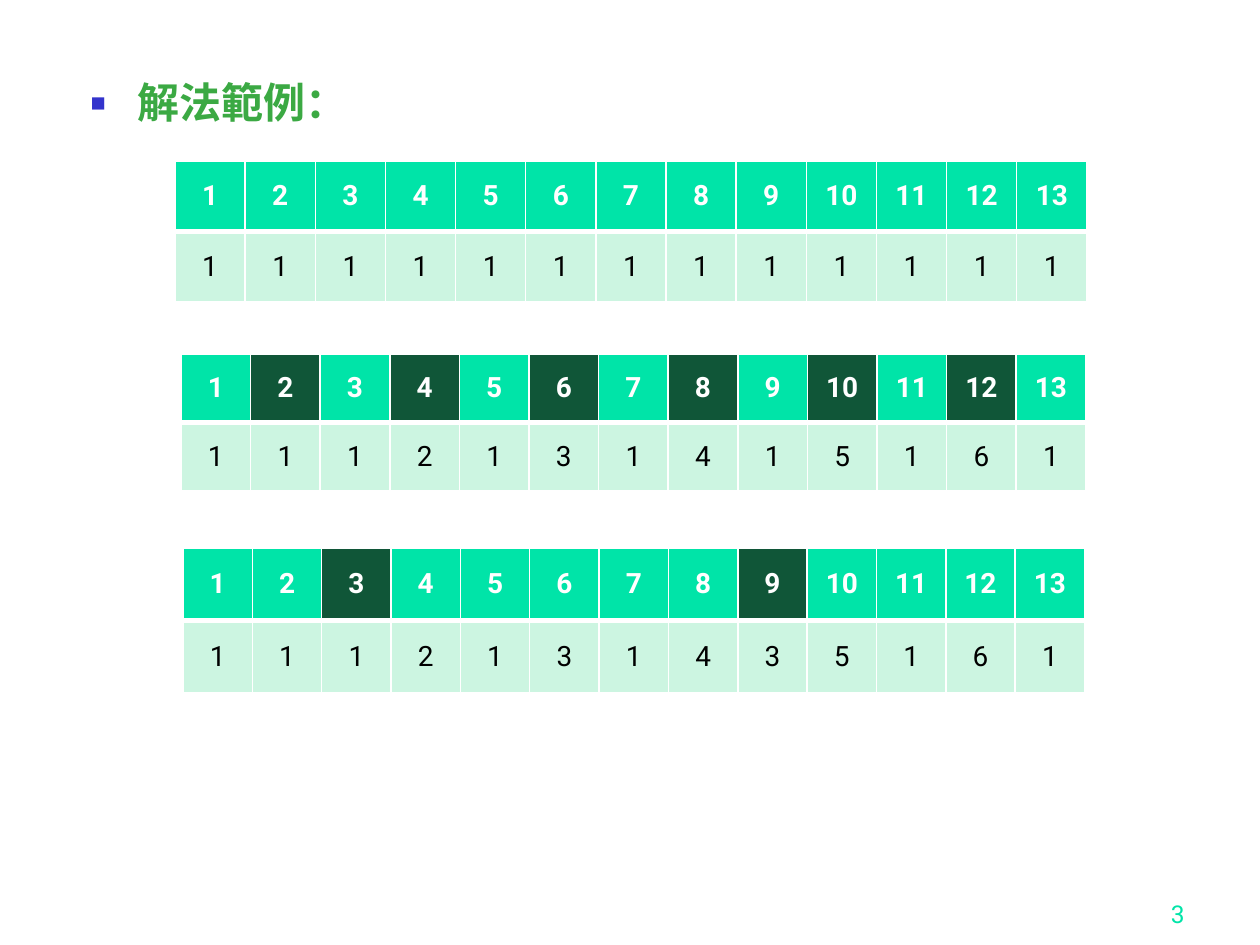
from lxml import etree
from pptx import Presentation, util as u
from pptx.dml.color import RGBColor
from pptx.enum import text
from pptx.oxml.ns import qn

PX = u.Inches(1) / 126
COLORS = {"mint": "00E4A8", "pale": "CCF5E1", "dark": "105638", "white": "FFFFFF",
          "black": "000000", "green": "3BA943", "bullet": "3333CC"}
HEADER = {"name": "Roboto", "size": u.Pt(16), "bold": True}
VALUE = {**HEADER, "bold": False}
HEADING = {"name": "Times New Roman", "size": u.Pt(24), "bold": True}
NUMBER = {"name": "Roboto", "size": u.Pt(14)}
NUMBERS = range(1, 14)
STEPS = [
    ((175, 161, 912, 141), [1] * 13, set()),
    ((181, 354, 905, 137), [1, 1, 1, 2, 1, 3, 1, 4, 1, 5, 1, 6, 1], set(range(2, 13, 2))),
    ((183, 548, 902, 145), [1, 1, 1, 2, 1, 3, 1, 4, 3, 5, 1, 6, 1], {3, 9}),
]


def emu(box):
    return [round(v * PX) for v in box]


def rgb(color):
    return RGBColor.from_string(COLORS[color])


def write(p, content, fmt, color, align=None):
    r = p.add_run()
    r.text = str(content)
    for key, value in fmt.items():
        setattr(r.font, key, value)
    r.font.color.rgb = rgb(color)
    p.alignment = align


def add_heading(slide, box, content):
    sp = slide.placeholders[1]
    sp.left, sp.top, sp.width, sp.height = emu(box)
    p = sp.text_frame.paragraphs[0]
    write(p, content, HEADING, "green")
    p.line_spacing, p.space_before = 0.9, u.Pt(4.8)
    pPr = p._p.get_or_add_pPr()
    indent = round(47 * PX)
    pPr.set("marL", str(indent))
    pPr.set("indent", str(-indent))
    color = etree.SubElement(pPr, qn("a:buClr"))
    etree.SubElement(color, qn("a:srgbClr"), val=COLORS["bullet"])
    etree.SubElement(pPr, qn("a:buSzPct"), val="60000")
    etree.SubElement(pPr, qn("a:buChar"), char="■")


def add_borders(cell, bottom):
    tcPr = cell._tc.get_or_add_tcPr()
    widths = {"lnL": 1, "lnR": 1, "lnT": 1, "lnB": bottom}
    for i, (side, width) in enumerate(widths.items()):
        ln = etree.Element(qn("a:" + side), w=str(u.Pt(width)))
        fill = etree.SubElement(ln, qn("a:solidFill"))
        etree.SubElement(fill, qn("a:srgbClr"), val=COLORS["white"])
        tcPr.insert(i, ln)


def fill_cell(cell, content, fmt, color, fill, bottom):
    cell.fill.solid()
    cell.fill.fore_color.rgb = rgb(fill)
    cell.vertical_anchor = text.MSO_ANCHOR.MIDDLE
    write(cell.text_frame.paragraphs[0], content, fmt, color, text.PP_ALIGN.CENTER)
    add_borders(cell, bottom)


def add_step(slide, box, values, marked):
    table = slide.shapes.add_table(2, len(values), *emu(box)).table
    for col, (number, value) in enumerate(zip(NUMBERS, values)):
        fill = "dark" if number in marked else "mint"
        fill_cell(table.cell(0, col), number, HEADER, "white", fill, 3)
        fill_cell(table.cell(1, col), value, VALUE, "black", "pale", 1)


def add_page_number(slide, box, number):
    tf = slide.shapes.add_textbox(*emu(box)).text_frame
    tf.word_wrap = True
    tf.vertical_anchor = text.MSO_ANCHOR.BOTTOM
    write(tf.paragraphs[0], number, NUMBER, "mint", text.PP_ALIGN.RIGHT)


prs = Presentation()
prs.slide_width, prs.slide_height = u.Inches(10), u.Inches(7.5)
slide = prs.slides.add_slide(prs.slide_layouts[1])
title = slide.shapes.title._element
title.getparent().remove(title)
add_heading(slide, (78, 76, 1071, 640), "解法範例：")
add_page_number(slide, (935, 872, 262, 63), 3)
for box, values, marked in STEPS:
    add_step(slide, box, values, marked)
prs.save("out.pptx")
